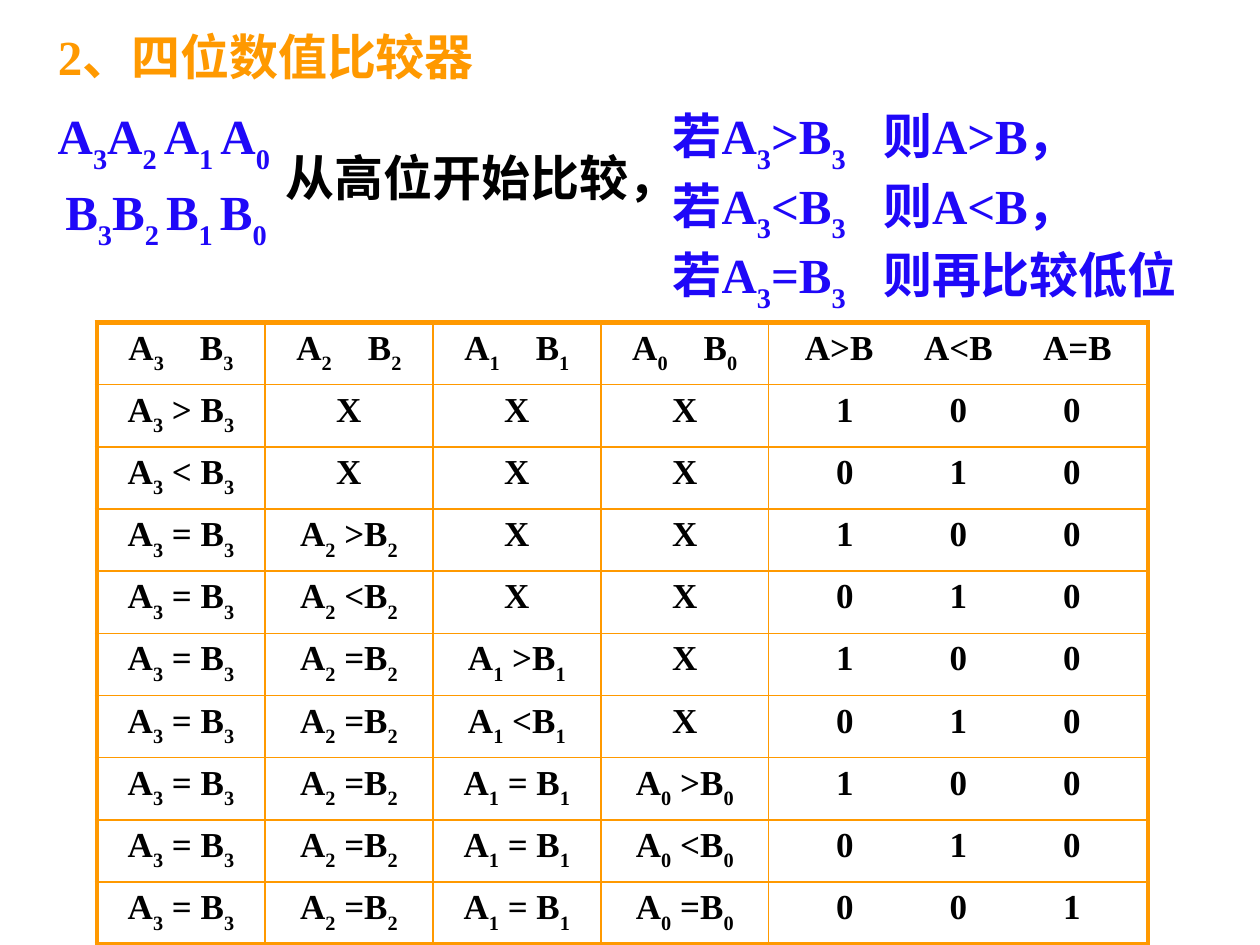
import pptx
import pptx.dml.color
import pptx.enum.text
import pptx.oxml.ns
import pptx.util
from lxml import etree

COLORS = {"orange": "FF9900", "blue": "1F08F8", "black": "000000"}
SERIF, HAN, SANS = "Times New Roman", "Noto Sans CJK SC", "Lato"
ANCHOR = pptx.enum.text.MSO_ANCHOR
ALIGN = pptx.enum.text.PP_ALIGN
AUTO_SIZE = pptx.enum.text.MSO_AUTO_SIZE

# The slide is a grid of 100 columns by 75 rows, each 0.1 inch
UNIT = pptx.util.Inches(0.1)
SLIDE_COLUMNS, SLIDE_ROWS = 100, 75

BITS = (3, 2, 1, 0)
SYMBOLS = (">", "<", "=")
COLUMN_WIDTHS = (13.33, 13.33, 13.33, 13.33, 30.1)
TABLE_LEFT, TABLE_TOP, ROW_HEIGHT, ROW_COUNT = 7.7, 25.6, 4.93, 10
PAIR_TABS = (2.9, 8.5)
OUTPUT_HEADER_TABS = (4.6, 14.05, 23.5)
OUTPUT_VALUE_TABS = (5.05, 14.05, 23.05)


def units(count):
    return round(count * UNIT)


def set_values(target, values):
    for name, value in values.items():
        setattr(target, name, value)


def add_child(parent, tag, **attributes):
    child = etree.SubElement(parent, pptx.oxml.ns.qn(tag))
    for name, value in attributes.items():
        child.set(name, str(value))
    return child


def set_tabs(paragraph, positions, kind):
    tab_list = add_child(paragraph._p.get_or_add_pPr(), "a:tabLst")
    for position in positions:
        add_child(tab_list, "a:tab", pos=units(position), algn=kind)


def add_run(paragraph, text, size, color, font=SERIF, subscript=False):
    run = paragraph.add_run()
    run.text = text
    set_values(run.font, {"size": pptx.util.Pt(size), "bold": True, "name": font})
    run.font.color.rgb = pptx.dml.color.RGBColor.from_string(COLORS[color])
    if subscript:
        run.font._element.set("baseline", "-30000")


def add_formula(paragraph, text, size, color, font=SERIF):
    """Write text in which {braces} enclose subscripts."""
    for index, part in enumerate(text.replace("}", "{").split("{")):
        if part:
            add_run(paragraph, part, size, color, font, subscript=index % 2 == 1)


def add_title(slide, box, parts):
    title = slide.shapes.title
    set_values(title, dict(zip(("left", "top", "width", "height"), map(units, box))))
    set_values(title.text_frame, {"vertical_anchor": ANCHOR.MIDDLE,
                                  "auto_size": AUTO_SIZE.NONE, "word_wrap": True})
    paragraph = title.text_frame.paragraphs[0]
    paragraph.alignment = ALIGN.LEFT
    for text, font in parts:
        add_run(paragraph, text, 28, "orange", font)


def add_text(slide, box, lines, color, font=SERIF, wrap=True,
             anchor=ANCHOR.TOP, tabs=()):
    frame = slide.shapes.add_textbox(*map(units, box)).text_frame
    set_values(frame, {"word_wrap": wrap, "vertical_anchor": anchor,
                       "auto_size": AUTO_SIZE.SHAPE_TO_FIT_TEXT})
    for index, line in enumerate(lines):
        paragraph = frame.add_paragraph() if index else frame.paragraphs[0]
        if tabs:
            set_tabs(paragraph, tabs, "l")
        add_formula(paragraph, line, 28, color, font)


def set_borders(cell, outer_sides):
    properties = cell._tc.get_or_add_tcPr()
    for side in "LRTB":
        width = pptx.util.Pt(3 if side in outer_sides else 1)
        line = add_child(properties, f"a:ln{side}", w=int(width))
        fill = add_child(line, "a:solidFill")
        add_child(fill, "a:srgbClr", val=COLORS["orange"])


def comparison(bit, symbol):
    before_b = " " if bit == 3 or (bit == 1 and symbol == "=") else ""
    return f"A{{{bit}}} {symbol}{before_b}B{{{bit}}}"


def tabbed(items):
    return "".join(f"\t{item}" for item in items)


def truth_rows():
    """Header, then each bit from the highest deciding by > and <, then equality."""
    yield [tabbed((f"A{{{bit}}}", f"B{{{bit}}}")) for bit in BITS] + [
        tabbed(f"A{symbol}B" for symbol in SYMBOLS)]
    cases = [(bit, symbol) for bit in BITS for symbol in "><"] + [(0, "=")]
    for deciding_bit, result in cases:
        row = []
        for bit in BITS:
            if bit < deciding_bit:
                row.append("X")
            else:
                row.append(comparison(bit, result if bit == deciding_bit else "="))
        yield row + [tabbed(int(symbol == result) for symbol in SYMBOLS)]


def cell_tabs(row, column):
    if column < len(BITS):
        return PAIR_TABS
    return OUTPUT_VALUE_TABS if row else OUTPUT_HEADER_TABS


def add_truth_table(slide):
    last_row, last_column = ROW_COUNT - 1, len(COLUMN_WIDTHS) - 1
    box = (TABLE_LEFT, TABLE_TOP, sum(COLUMN_WIDTHS), ROW_HEIGHT * ROW_COUNT)
    table = slide.shapes.add_table(ROW_COUNT, len(COLUMN_WIDTHS),
                                   *map(units, box)).table
    set_values(table, {"first_row": False, "horz_banding": False})
    for column, width in zip(table.columns, COLUMN_WIDTHS):
        column.width = units(width)
    for row, texts in enumerate(truth_rows()):
        table.rows[row].height = units(ROW_HEIGHT)
        for column, text in enumerate(texts):
            cell = table.cell(row, column)
            edges = {"L": column == 0, "R": column == last_column,
                     "T": row == 0, "B": row == last_row}
            set_borders(cell, [side for side, outer in edges.items() if outer])
            cell.fill.background()
            paragraph = cell.text_frame.paragraphs[0]
            if "\t" in text:
                paragraph.alignment = ALIGN.LEFT
                set_tabs(paragraph, cell_tabs(row, column), "ctr")
            else:
                paragraph.alignment = ALIGN.CENTER
            add_formula(paragraph, text, 20, "black")


def main():
    presentation = pptx.Presentation()
    set_values(presentation, {"slide_width": SLIDE_COLUMNS * UNIT,
                              "slide_height": SLIDE_ROWS * UNIT})
    slide = presentation.slides.add_slide(presentation.slide_layouts[5])

    # Heading
    add_title(slide, (3.6, 1.6, 38.5, 5.6),
              [("2、四位", SERIF), ("数值比较", HAN), ("器", SERIF)])

    # The two four-bit numbers
    for letter, box in (("A", (3.6, 8.3, 19.9, 5.7)), ("B", (4.2, 14.3, 19, 5.7))):
        number = "{0}{{3}}{0}{{2 }}{0}{{1 }}{0}{{0}}".format(letter)
        add_text(slide, box, [number], "blue", wrap=False, anchor=ANCHOR.MIDDLE)

    # Comparison rule
    add_text(slide, (21.7, 11.2, 35.2, 5.7), ["从高位开始比较，"], "black", SANS)
    results = ("A>B，", "A<B，", "再比较低位")
    add_text(slide, (52.4, 7.9, 43.1, 15),
             [f"若A{{3}}{symbol}B{{3}}\t则{result}"
              for symbol, result in zip(SYMBOLS, results)],
             "blue", tabs=(16.7,))

    # Truth table
    add_truth_table(slide)
    presentation.save("out.pptx")


if __name__ == "__main__":
    main()
